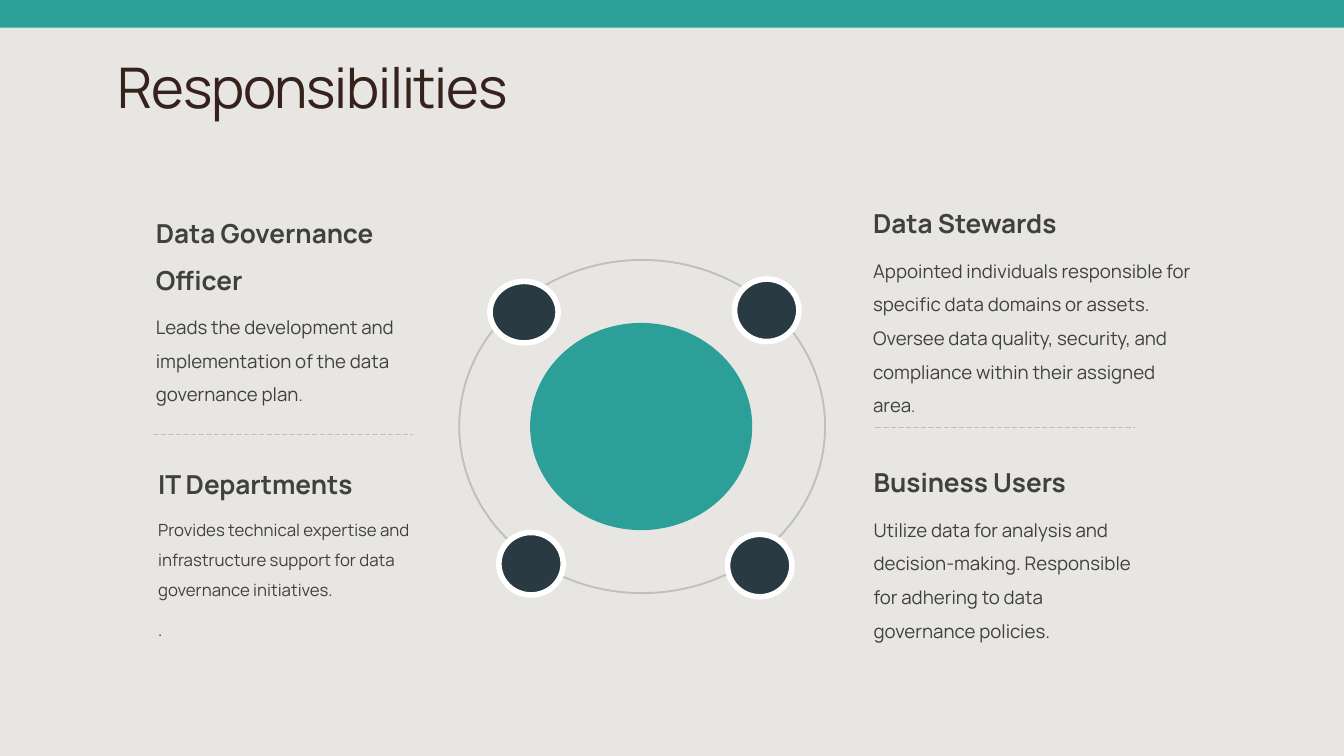
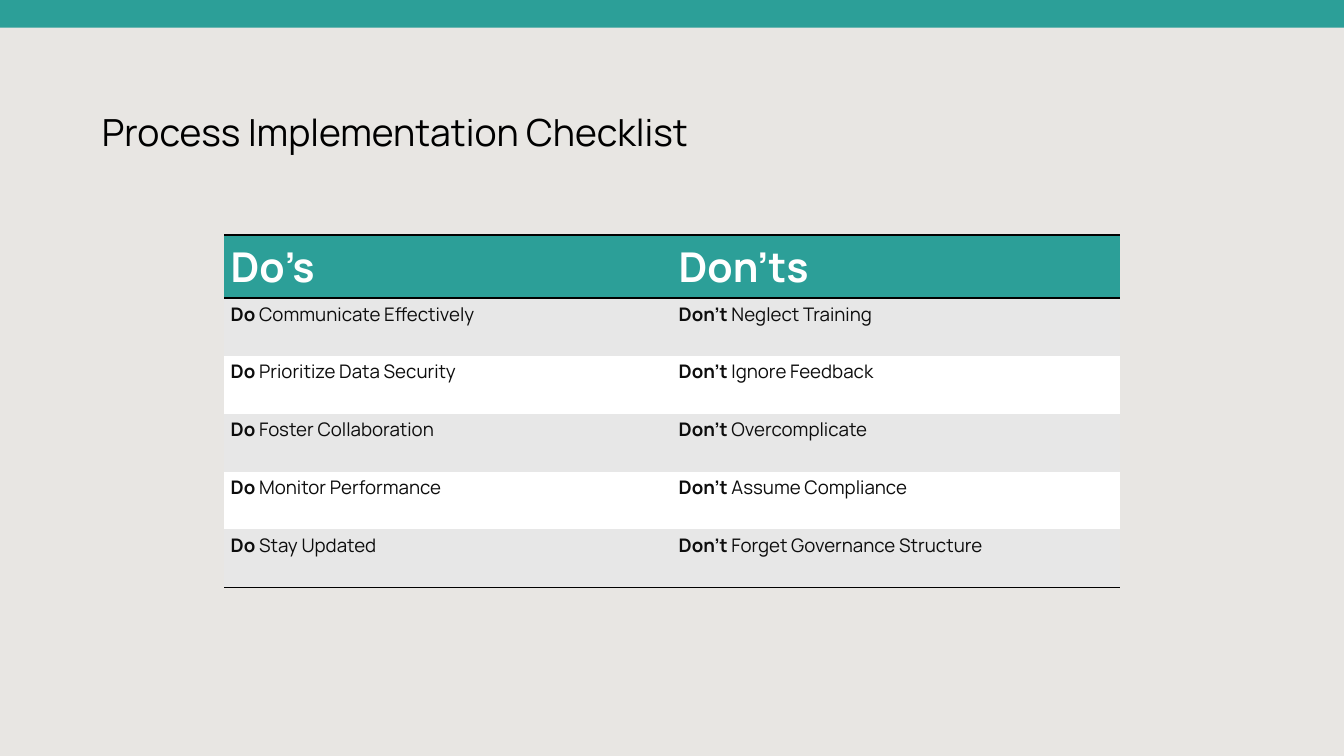
from lxml import etree
from pptx import Presentation
from pptx.dml.color import RGBColor
from pptx.enum.dml import MSO_LINE
from pptx.enum.shapes import MSO_CONNECTOR, MSO_SHAPE
from pptx.enum.text import MSO_ANCHOR, MSO_AUTO_SIZE, PP_ALIGN
from pptx.oxml import parse_xml
from pptx.oxml.ns import nsdecls, qn
from pptx.util import Pt

OVAL, RECT = MSO_SHAPE.OVAL, MSO_SHAPE.RECTANGLE
TOP, MIDDLE = MSO_ANCHOR.TOP, MSO_ANCHOR.MIDDLE
LEFT = PP_ALIGN.LEFT
GROW = MSO_AUTO_SIZE.SHAPE_TO_FIT_TEXT
STRAIGHT = MSO_CONNECTOR.STRAIGHT
LONG_DASH = MSO_LINE.LONG_DASH

FONT = "Manrope"
SLIDE_W, SLIDE_H = 1440, 810
TITLE_ONLY = 5
NO_GRID_STYLE = "{2D5ABB26-0587-4C30-8999-92F81FD0307C}"
C = {
    "paper": "E8E6E3", "teal": "2C9F98", "navy": "293A42", "rule": "BFBFBF",
    "body": "404040", "brown": "36211B", "black": "000000", "ink": "0D0D0D",
    "white": "FFFFFF", "stripe": "E7E7E7",
}


def rgb(name):
    return RGBColor.from_string(C[name])


def add_run(p, text, size, color, bold=False):
    r = p.add_run()
    r.text = text
    r.font.name = FONT
    r.font.size = Pt(size)
    r.font.bold = bold
    r.font.color.rgb = rgb(color)
    return r


def set_insets(tf, x, y):
    tf.margin_left = tf.margin_right = Pt(x)
    tf.margin_top = tf.margin_bottom = Pt(y)


def add_shape(s, kind, box, fill=None, line=None, width=1):
    sp = s.shapes.add_shape(kind, *map(Pt, box))
    sp.shadow.inherit = False
    if fill:
        sp.fill.solid()
        sp.fill.fore_color.rgb = rgb(fill)
    else:
        sp.fill.background()
    if line:
        sp.line.color.rgb = rgb(line)
        sp.line.width = Pt(width)
    else:
        sp.line.fill.background()
    return sp


# Shared slide frame: top band and title
def add_slide(prs, title, box, size, color, insets=(7.2, 3.6), leading=None, tracking=None):
    s = prs.slides.add_slide(prs.slide_layouts[TITLE_ONLY])
    add_shape(s, RECT, (0, 0, SLIDE_W, 29.5), "teal")
    sp = s.shapes.title
    sp.left, sp.top, sp.width, sp.height = map(Pt, box)
    tf = sp.text_frame
    tf.word_wrap = True
    tf.auto_size = GROW
    tf.vertical_anchor = TOP
    set_insets(tf, *insets)
    p = tf.paragraphs[0]
    p.alignment = LEFT
    if leading:
        p.line_spacing = Pt(leading)
    r = add_run(p, title, size, color)
    if tracking:
        r.font._element.set("spc", str(int(tracking * 100)))
    return s


# Ring with a hub and four nodes
def add_ring(s, x, y, w, h):
    cx, cy = x + w / 2, y + h / 2

    def oval(dx, dy, ow, oh, *style):
        add_shape(s, OVAL, (cx + dx - ow / 2, cy + dy - oh / 2, ow, oh), *style)

    oval(-1, 0, 238, 222, "teal")
    oval(0, 0, w, h, None, "rule", 2)
    nodes = [(-126.5, -122.5, 73, 66), (-119, 147, 69, 67),
             (133.5, -124.5, 69, 67), (126, 149, 69, 67)]
    for node in nodes:
        oval(*node, "navy", "white", 6)


# Role heading with its description paragraphs
def add_role(s, box, heading, *paragraphs):
    tf = s.shapes.add_textbox(*map(Pt, box)).text_frame
    tf.word_wrap = True
    tf.vertical_anchor = MIDDLE
    set_insets(tf, 3, 0)
    p = tf.paragraphs[0]
    add_run(p, heading, 28, "body", True)
    for runs in paragraphs:
        p = tf.add_paragraph()
        for text, size in runs:
            add_run(p, text, size, "body")
    for p in tf.paragraphs:
        p.line_spacing = 1.5
        p.space_before = Pt(10)


def add_divider(s, x, y, w):
    c = s.shapes.add_connector(STRAIGHT, Pt(x), Pt(y), Pt(x + w), Pt(y))
    c.line.color.rgb = rgb("rule")
    c.line.width = Pt(0.75)
    c.line.dash_style = LONG_DASH
    etree.SubElement(c._element.spPr, qn("a:effectLst"))


def set_border(cell, side, width=2):
    ln = parse_xml(
        f'<a:ln{side} {nsdecls("a")} w="{Pt(width)}"><a:solidFill>'
        f'<a:srgbClr val="{C["black"]}"/></a:solidFill></a:ln{side}>')
    cell._tc.get_or_add_tcPr().insert(0, ln)


# Two-column checklist: each row has a bold lead word and an item
def add_checklist(s, x, y, w, headings, leads, rows, head_h=67, row_h=62.1):
    n = len(rows) + 1
    frame = s.shapes.add_table(n, len(headings), Pt(x), Pt(y), Pt(w),
                               Pt(head_h + row_h * len(rows)))
    table = frame.table
    table.first_row = table.horz_banding = False
    table._tbl.tblPr.find(qn("a:tableStyleId")).text = NO_GRID_STYLE
    for i, row in enumerate(table.rows):
        row.height = Pt(row_h if i else head_h)
        for j, cell in enumerate(row.cells):
            p = cell.text_frame.paragraphs[0]
            cell.fill.solid()
            if i == 0:
                fill = "teal"
                add_run(p, headings[j], 44, "white", True)
            else:
                fill = "stripe" if i % 2 else "white"
                add_run(p, leads[j], 20, "ink", True)
                add_run(p, " " + rows[i - 1][j], 20, "ink")
            cell.fill.fore_color.rgb = rgb(fill)
            if i in (0, n - 1):
                set_border(cell, "B")
            if i == 0:
                set_border(cell, "T")


def responsibilities(prs):
    s = add_slide(prs, "Responsibilities", (126, 78, 442, 52.5), 60, "brown",
                  (0, 0), 50.4, -1.4)
    add_ring(s, 492, 278.5, 392, 357)
    add_role(s, (932.5, 270.5, 352, 111), "Data Stewards",
             [("Appointed individuals responsible for specific data domains or assets. "
               "Oversee data quality, security, and compliance within their assigned area", 20),
              (".", 18)])
    add_role(s, (164, 269.5, 288, 111), "Data Governance Officer",
             [("Leads the development and implementation of the data governance plan", 20),
              (".", 18)])
    add_role(s, (933, 530, 288, 111), "Business Users",
             [("Utilize data for analysis and decision-making. Responsible for "
               "adhering to data governance policies.", 20)])
    add_role(s, (166.5, 530, 288, 111), "IT Departments",
             [("Provides technical expertise and infrastructure support for "
               "data governance initiatives.", 18)],
             [(".", 18)])
    add_divider(s, 938, 457.5, 278)
    add_divider(s, 164, 465, 278)


def checklist(prs):
    s = add_slide(prs, "Process Implementation Checklist", (102, 113, 816, 55.5), 40, "black")
    add_checklist(s, 240, 252, 960, ("Do’s", "Don’ts"), ("Do", "Don't"), [
        ("Communicate Effectively", "Neglect Training"),
        ("Prioritize Data Security", "Ignore Feedback"),
        ("Foster Collaboration", "Overcomplicate"),
        ("Monitor Performance", "Assume Compliance"),
        ("Stay Updated", "Forget Governance Structure"),
    ])


def main():
    prs = Presentation()
    prs.slide_width, prs.slide_height = Pt(SLIDE_W), Pt(SLIDE_H)
    bg = prs.slide_master.background.fill
    bg.solid()
    bg.fore_color.rgb = rgb("paper")
    responsibilities(prs)
    checklist(prs)
    prs.save("out.pptx")


if __name__ == "__main__":
    main()
